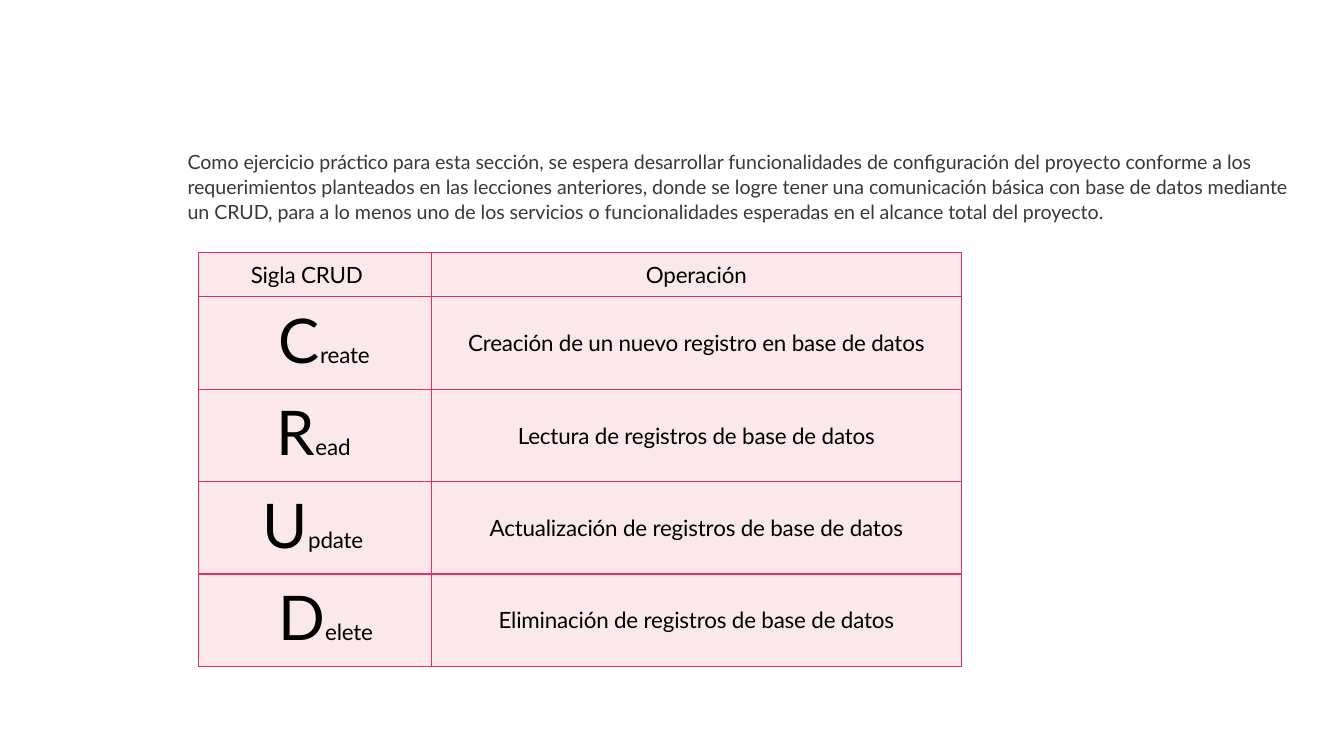
from dataclasses import dataclass

from lxml import etree
from pptx import Presentation
from pptx import util as u
from pptx.dml.color import RGBColor
from pptx.enum import text
from pptx.oxml.ns import qn

# Content
INTRO = (
    "Como ejercicio práctico para esta sección, se espera desarrollar funcionalidades "
    "de configuración del proyecto conforme a los requerimientos planteados en las "
    "lecciones anteriores, donde se logre tener una comunicación básica con base de "
    "datos mediante un CRUD, para a lo menos uno de los servicios o funcionalidades "
    "esperadas en el alcance total del proyecto."
)
HEADERS = ("Sigla CRUD", "Operación")
# Initial, rest of the word, left indent in points, operation
OPERATIONS = [
    ("C", "reate", 57.5, "Creación de un nuevo registro en base de datos"),
    ("R", "ead", 56, "Lectura de registros de base de datos"),
    ("U", "pdate", 46, "Actualización de registros de base de datos"),
    ("D", "elete", 57, "Eliminación de registros de base de datos"),
]


@dataclass(frozen=True)
class Theme:
    font: str = "Lato"
    intro_color: str = "3A3838"
    table_color: str = "000000"
    fill: str = "FAE8EA"
    border: str = "EA2D5F"
    intro_size: float = 14
    table_size: float = 16
    initial_size: float = 44
    border_width: float = 1


THEME = Theme()
COLUMN_WIDTHS = (166.5, 378.5)
HEADER_HEIGHT, ROW_HEIGHT = 31.5, 66
HEADER_INDENT = 37.5
INITIAL_TOP = 4.3


def set_font(font, size, color):
    font.name = THEME.font
    font.size = u.Pt(size)
    font.color.rgb = RGBColor.from_string(color)


def add_run(paragraph, words, spacing):
    """Add a run with its letter spacing in hundredths of a point."""
    run = paragraph.add_run()
    run.text = words
    run.font._element.set("spc", str(spacing))
    return run


def set_margins(box, left=0, top=0):
    box.margin_left, box.margin_top = u.Pt(left), u.Pt(top)
    box.margin_right = box.margin_bottom = 0


def add_borders(cell):
    properties = cell._tc.get_or_add_tcPr()
    for position, side in enumerate(("lnL", "lnR", "lnT", "lnB")):
        line = etree.Element(qn(f"a:{side}"), w=str(u.Pt(THEME.border_width)))
        solid = etree.SubElement(line, qn("a:solidFill"))
        etree.SubElement(solid, qn("a:srgbClr"), val=THEME.border)
        properties.insert(position, line)


def format_cell(cell, alignment, left=0):
    """Style a cell and return its paragraph."""
    set_margins(cell, left)
    cell.vertical_anchor = text.MSO_ANCHOR.MIDDLE
    cell.fill.solid()
    cell.fill.fore_color.rgb = RGBColor.from_string(THEME.fill)
    add_borders(cell)
    paragraph = cell.text_frame.paragraphs[0]
    paragraph.alignment = alignment
    set_font(paragraph.font, THEME.table_size, THEME.table_color)
    return paragraph


def add_intro(slide):
    frame = slide.shapes.add_textbox(u.Pt(134), u.Pt(105), u.Pt(800), u.Pt(56)).text_frame
    frame.word_wrap = True
    set_margins(frame, top=1)
    paragraph = frame.paragraphs[0]
    paragraph.line_spacing = 1.07
    set_font(paragraph.font, THEME.intro_size, THEME.intro_color)
    add_run(paragraph, INTRO, -5)


def add_crud_table(slide):
    left, center = text.PP_ALIGN.LEFT, text.PP_ALIGN.CENTER
    height = HEADER_HEIGHT + ROW_HEIGHT * len(OPERATIONS)
    table = slide.shapes.add_table(
        len(OPERATIONS) + 1, len(HEADERS),
        u.Pt(141.75), u.Pt(180.5), u.Pt(sum(COLUMN_WIDTHS)), u.Pt(height),
    ).table
    table.first_row = table.horz_banding = False
    for column, width in zip(table.columns, COLUMN_WIDTHS):
        column.width = u.Pt(width)
    for index, row in enumerate(table.rows):
        row.height = u.Pt(ROW_HEIGHT if index else HEADER_HEIGHT)

    # Header row
    add_run(format_cell(table.cell(0, 0), left, HEADER_INDENT), HEADERS[0], -10)
    add_run(format_cell(table.cell(0, 1), center), HEADERS[1], -10)

    # One row for each operation
    for index, (initial, rest, indent, operation) in enumerate(OPERATIONS, 1):
        word_cell = table.cell(index, 0)
        word = format_cell(word_cell, left, indent)
        word_cell.vertical_anchor = text.MSO_ANCHOR.TOP
        word_cell.margin_top = u.Pt(INITIAL_TOP)
        add_run(word, initial, 0).font.size = u.Pt(THEME.initial_size)
        add_run(word, rest, -10)
        add_run(format_cell(table.cell(index, 1), center), operation, -10)


def main():
    presentation = Presentation()
    presentation.slide_width, presentation.slide_height = u.Pt(960), u.Pt(540)
    slide = presentation.slides.add_slide(presentation.slide_layouts[6])
    add_intro(slide)
    add_crud_table(slide)
    presentation.save("out.pptx")


if __name__ == "__main__":
    main()
